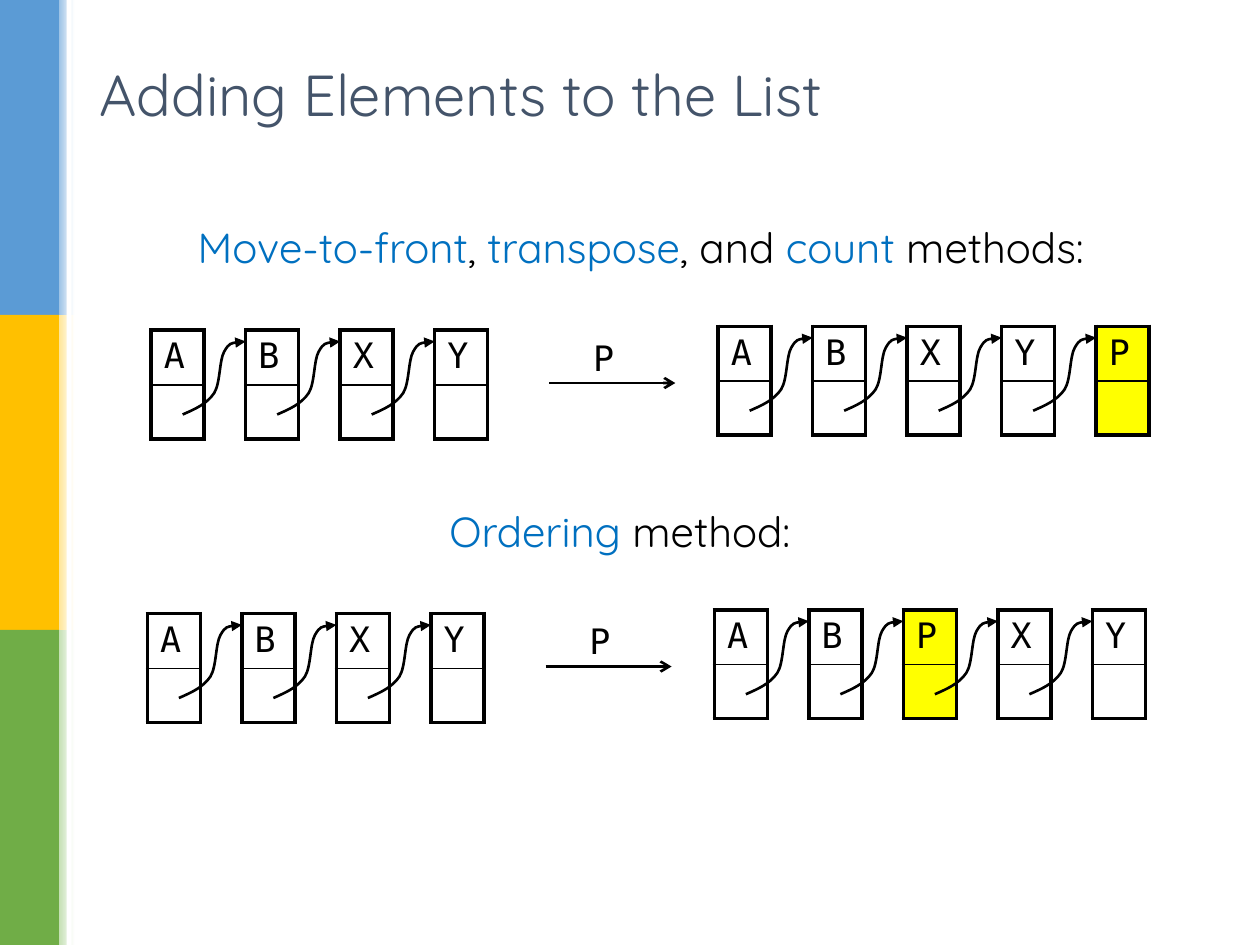
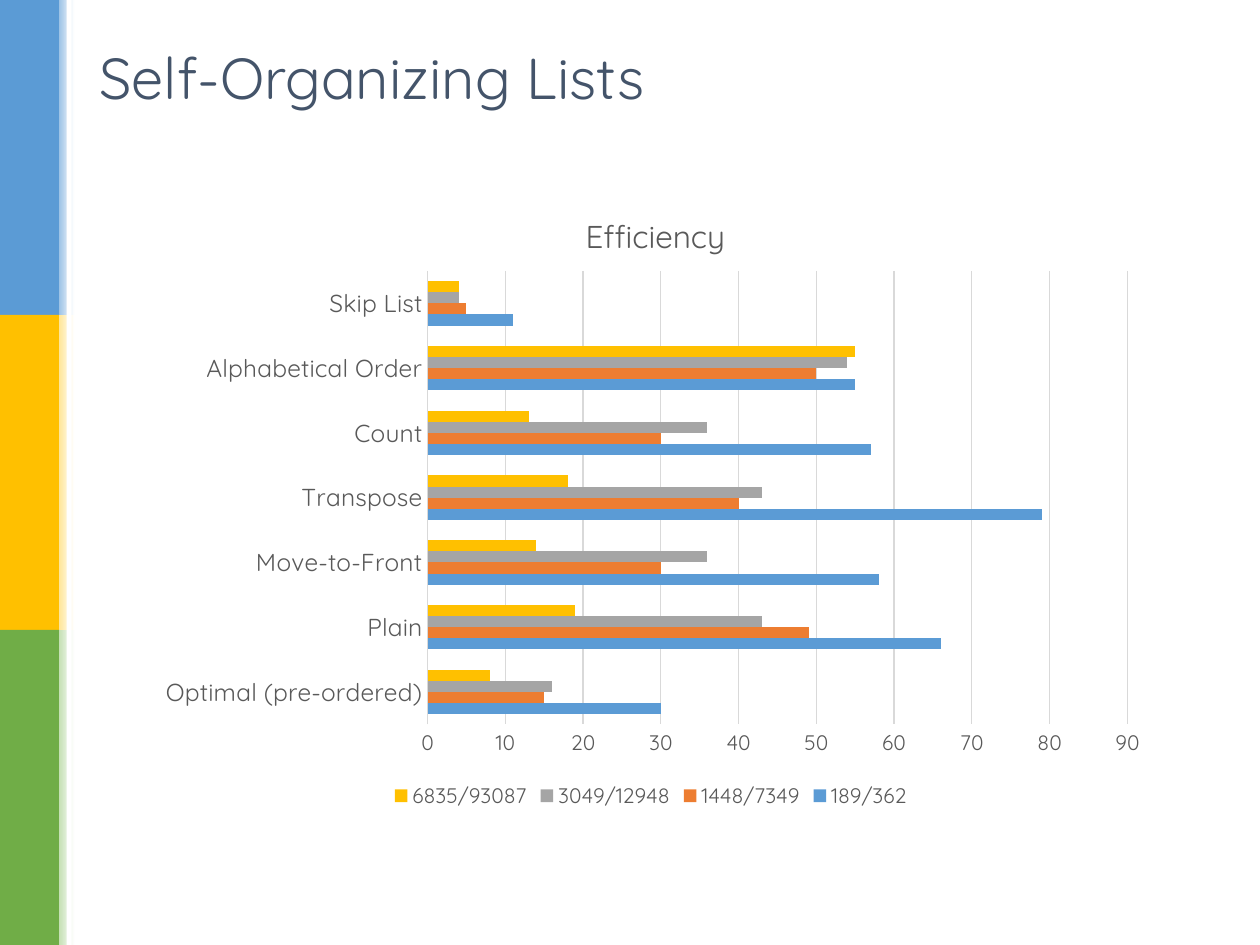
import pptx
import pptx.chart.data
import pptx.dml.color
import pptx.enum.chart
import pptx.enum.shapes
import pptx.enum.text
import pptx.oxml
import pptx.oxml.ns
import pptx.util
from lxml import etree
from pptx.util import Inches

COLORS = {
    "black": "000000", "white": "FFFFFF", "title": "44546A", "accent": "0070C0",
    "new": "FFFF00", "chart_text": "595959", "grid": "D9D9D9",
    "blue": "5B9BD5", "orange": "ED7D31", "gray": "A5A5A5", "gold": "FFC000",
    "green": "70AD47", "pale_blue": "9DC3E6", "pale_gold": "FFE699",
    "pale_green": "C5E0B4",
}
BANDS = [("blue", "pale_blue"), ("gold", "pale_gold"), ("green", "pale_green")]
SANS = "Quicksand"
MONO = "DejaVu Sans Mono"

NODE_PITCH = 0.75
NODE_WIDTH = 0.42
CELL_HEIGHT = 0.43
# Start point and three cubic curves, measured from the top left of a node.
LINK_POINTS = [
    (0.25, 0.67),
    (0.34, 0.63), (0.44, 0.59), (0.5, 0.5),
    (0.55, 0.42), (0.54, 0.24), (0.58, 0.17),
    (0.62, 0.1), (0.68, 0.09), (0.75, 0.09),
]

CATEGORIES = ["Optimal (pre-ordered)", "Plain", "Move-to-Front", "Transpose",
              "Count", "Alphabetical Order", "Skip List"]
SERIES = [
    ("189/362", "blue", [30, 66, 58, 79, 57, 55, 11]),
    ("1448/7349", "orange", [15, 49, 30, 40, 30, 50, 5]),
    ("3049/12948", "gray", [16, 43, 36, 43, 36, 54, 4]),
    ("6835/93087", "gold", [8, 19, 14, 18, 13, 55, 4]),
]


def rgb(name):
    return pptx.dml.color.RGBColor.from_string(COLORS[name])


def set_font(font, size, color, name=SANS):
    font.size = pptx.util.Pt(size)
    font.name = name
    font.color.rgb = rgb(color)


def add_rectangle(page, left, top, width, height, color, fade_to=None):
    box = page.shapes.add_shape(
        pptx.enum.shapes.MSO_SHAPE.RECTANGLE,
        Inches(left), Inches(top), Inches(width), Inches(height))
    box.shadow.inherit = False
    box.line.fill.background()
    if fade_to:
        box.fill.gradient()
        box.fill.gradient_angle = 0
        for stop, name in zip(box.fill.gradient_stops, (color, fade_to)):
            stop.color.rgb = rgb(name)
    else:
        box.fill.solid()
        box.fill.fore_color.rgb = rgb(color)


def add_text(page, left, top, width, height, spans, size, font=SANS, align="LEFT",
             anchor="TOP"):
    """Add one paragraph made of (text, color) spans."""
    box = page.shapes.add_textbox(
        Inches(left), Inches(top), Inches(width), Inches(height))
    box.text_frame.word_wrap = True
    box.text_frame.vertical_anchor = pptx.enum.text.MSO_ANCHOR[anchor]
    para = box.text_frame.paragraphs[0]
    para.alignment = pptx.enum.text.PP_ALIGN[align]
    para.font.size = pptx.util.Pt(size)
    para.font.name = font
    for text, color in spans:
        span = para.add_run()
        span.text = text
        span.font.color.rgb = rgb(color)


def add_page(deck, title, title_top):
    page = deck.slides.add_slide(deck.slide_layouts[6])
    for index, (color, pale) in enumerate(BANDS):
        add_rectangle(page, 0, 2.5 * index, 0.47, 2.5, color)
        add_rectangle(page, 0.47, 2.5 * index, 0.12, 2.5, pale, "white")
    add_rectangle(page, 0.53, 0, 0.04, 7.5, "white")
    add_text(page, 0.69, title_top, 8.62, 0.69, [(title, "title")], 33, anchor="MIDDLE")
    return page


def style_arrow(line_shape, head):
    """Make a connector or freeform a thin black arrow without a shadow."""
    line_shape.line.color.rgb = rgb("black")
    line_shape.line.width = pptx.util.Pt(1.5)
    line = line_shape.line._get_or_add_ln()
    etree.SubElement(line, pptx.oxml.ns.qn("a:tailEnd"), type=head)
    properties = line_shape._element.spPr
    if properties.find(pptx.oxml.ns.qn("a:effectLst")) is None:
        etree.SubElement(properties, pptx.oxml.ns.qn("a:effectLst"))


def set_borders(cell, **widths):
    properties = cell._tc.get_or_add_tcPr()
    for index, side in enumerate("LRTB"):
        width = pptx.util.Pt(widths.get(side, 2.25))
        properties.insert(index, pptx.oxml.parse_xml(
            f'<a:ln{side} {pptx.oxml.ns.nsdecls("a")} w="{width}"><a:solidFill>'
            f'<a:srgbClr val="{COLORS["black"]}"/></a:solidFill></a:ln{side}>'))


def add_node(page, left, top, letter, is_new):
    """Draw a list node: a value cell above a pointer cell."""
    table = page.shapes.add_table(
        2, 1, Inches(left), Inches(top),
        Inches(NODE_WIDTH), Inches(2 * CELL_HEIGHT)).table
    table.first_row = table.horz_banding = False
    value, pointer = table.cell(0, 0), table.cell(1, 0)
    for cell in (value, pointer):
        if is_new:
            cell.fill.solid()
            cell.fill.fore_color.rgb = rgb("new")
        else:
            cell.fill.background()
    set_borders(value, B=1)
    set_borders(pointer, T=1)
    value.text = letter
    set_font(value.text_frame.paragraphs[0].font, 20, "black", MONO)


def add_link(page, left, top):
    """Draw the curved pointer from the node at left, top to the next one."""
    points = [(Inches(left + x), Inches(top + y)) for x, y in LINK_POINTS]
    builder = page.shapes.build_freeform(*points[0])
    builder.add_line_segments(points[1:], close=False)
    link = builder.convert_to_shape()
    outline = link._element.xpath(".//a:path")[0]
    segments = outline.findall(pptx.oxml.ns.qn("a:lnTo"))
    for start in range(0, len(segments), 3):
        curve = etree.SubElement(outline, pptx.oxml.ns.qn("a:cubicBezTo"))
        for segment in segments[start:start + 3]:
            curve.append(segment[0])
            outline.remove(segment)
    link.fill.background()
    link.shadow.inherit = False
    style_arrow(link, "triangle")


def add_linked_list(page, left, top, letters, new_letter):
    lefts = [left + NODE_PITCH * index for index in range(len(letters))]
    for node_left, letter in zip(lefts, letters):
        add_node(page, node_left, top, letter, letter == new_letter)
    for node_left in lefts[:-1]:
        add_link(page, node_left, top)


def add_insertion(page, left, top, before, after, new_letter):
    """Draw the list before and after, with a labelled arrow between."""
    add_linked_list(page, left, top, before, new_letter)
    arrow = page.shapes.add_connector(
        pptx.enum.shapes.MSO_CONNECTOR.STRAIGHT,
        Inches(left + 3.16), Inches(top + 0.42),
        Inches(left + 4.16), Inches(top + 0.42))
    style_arrow(arrow, "arrow")
    add_text(page, left + 3.41, top, 0.5, 0.43, [(new_letter, "black")], 20, MONO)
    add_linked_list(page, left + 4.5, top - 0.03, after, new_letter)


def set_layout(element, **fractions):
    """Place a chart part by fractions of the chart's size."""
    for old in element.findall(pptx.oxml.ns.qn("c:layout")):
        element.remove(old)
    target = '<c:layoutTarget val="inner"/>' if "w" in fractions else ""
    modes = "".join(f'<c:{key}Mode val="edge"/>' for key in "xy")
    values = "".join(f'<c:{key} val="{value}"/>' for key, value in fractions.items())
    layout = pptx.oxml.parse_xml(
        f'<c:layout {pptx.oxml.ns.nsdecls("c")}><c:manualLayout>'
        f"{target}{modes}{values}</c:manualLayout></c:layout>")
    text = element.find(pptx.oxml.ns.qn("c:tx"))
    element.insert(0 if text is None else 1, layout)


def add_efficiency_chart(page):
    data = pptx.chart.data.CategoryChartData()
    data.categories = CATEGORIES
    for name, _, values in SERIES:
        data.add_series(name, values)
    chart = page.shapes.add_chart(
        pptx.enum.chart.XL_CHART_TYPE.BAR_CLUSTERED,
        Inches(1.14), Inches(1.39), Inches(8.05), Inches(5.07), data).chart
    set_font(chart.font, 10, "black")

    chart.has_title = True
    title = chart.chart_title
    title.text_frame.text = "Efficiency"
    title.include_in_layout = False
    title_font = title.text_frame.paragraphs[0].font
    set_font(title_font, 18, "chart_text")
    title_font.bold = False
    set_layout(title._element, x=0.43, y=0.05)
    set_layout(chart._chartSpace.chart.plotArea, x=0.28, y=0.15, w=0.69, h=0.71)

    chart.has_legend = True
    chart.legend.position = pptx.enum.chart.XL_LEGEND_POSITION.BOTTOM
    chart.legend.include_in_layout = False
    set_font(chart.legend.font, 12, "chart_text")

    for axis, size in ((chart.category_axis, 14), (chart.value_axis, 12)):
        axis.major_tick_mark = pptx.enum.chart.XL_TICK_MARK.NONE
        axis.minor_tick_mark = pptx.enum.chart.XL_TICK_MARK.NONE
        set_font(axis.tick_labels.font, size, "chart_text")
    values = chart.value_axis
    values.minimum_scale, values.maximum_scale, values.major_unit = 0, 90, 10
    values.format.line.fill.background()
    for rule in (chart.category_axis.format.line, values.major_gridlines.format.line):
        rule.color.rgb = rgb("grid")
        rule.width = pptx.util.Pt(0.75)

    plot = chart.plots[0]
    plot.gap_width = 82
    plot.overlap = 0
    plot.gap_width = 182
    plot.vary_by_categories = False
    for series, (_, color, _) in zip(plot.series, SERIES):
        series.format.fill.solid()
        series.format.fill.fore_color.rgb = rgb(color)


def main():
    deck = pptx.Presentation()
    deck.slide_width, deck.slide_height = Inches(10), Inches(7.5)

    page = add_page(deck, "Adding Elements to the List", 0.4)
    add_text(page, 0.92, 1.71, 8.33, 0.75, [
        ("Move-to-front", "accent"), (", ", "black"), ("transpose", "accent"),
        (", and ", "black"), ("count", "accent"), (" methods:", "black"),
    ], 24, align="CENTER")
    add_insertion(page, 1.2, 2.62, "ABXY", "ABXYP", "P")
    add_text(page, 0.67, 3.96, 8.5, 0.75,
             [("Ordering ", "accent"), ("method:", "black")], 24, align="CENTER")
    add_insertion(page, 1.17, 4.87, "ABXY", "ABPXY", "P")

    page = add_page(deck, "Self-Organizing Lists", 0.26)
    add_efficiency_chart(page)

    deck.save("out.pptx")


if __name__ == "__main__":
    main()
